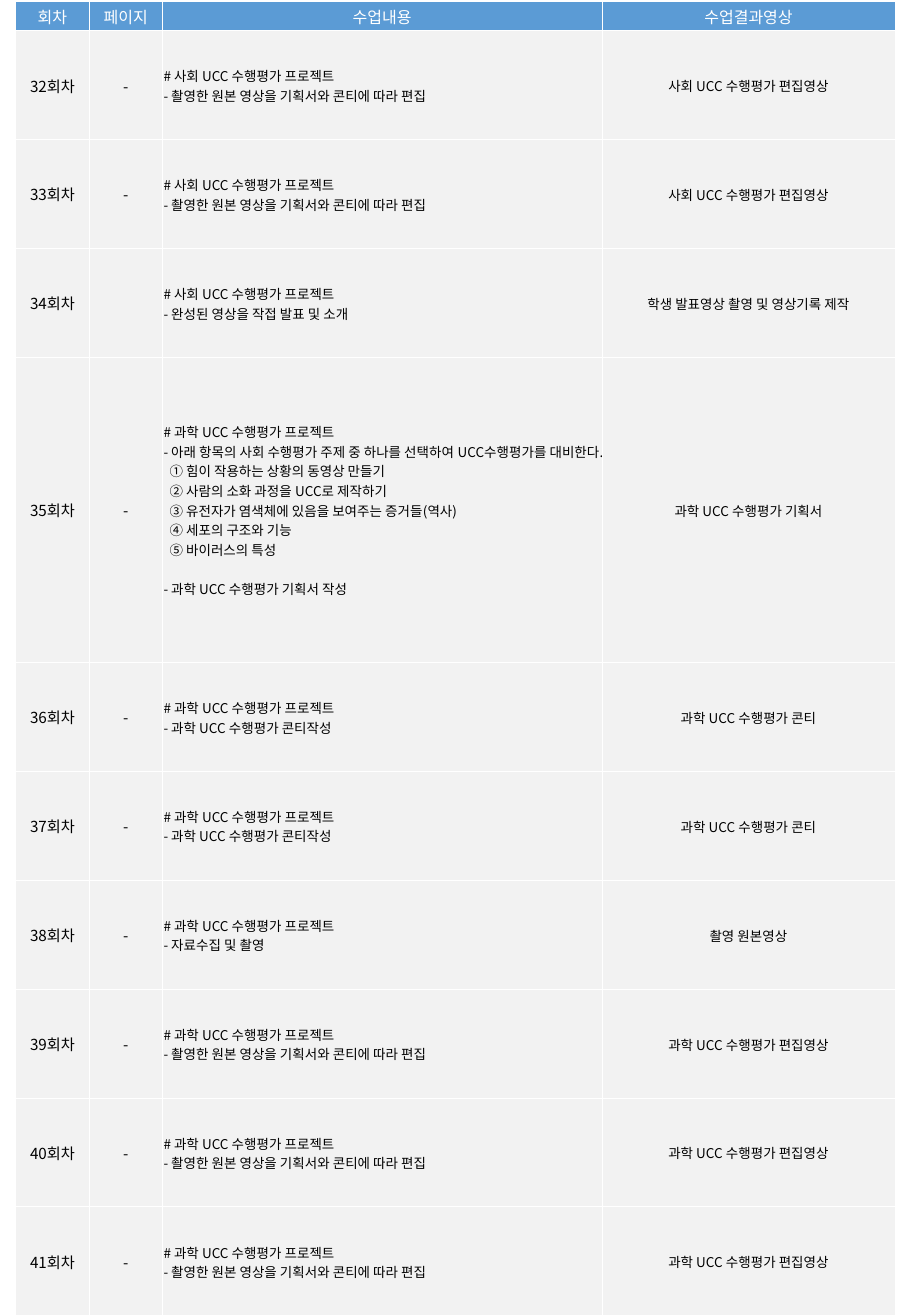
from lxml.etree import SubElement
from pptx import Presentation
from pptx.dml.color import RGBColor
from pptx.enum.text import MSO_ANCHOR, PP_ALIGN
from pptx.oxml.ns import qn
from pptx.util import Inches, Pt

FONT = "Noto Sans CJK KR"
BLUE, GREY, WHITE, BLACK = "5B9BD5", "F2F2F2", "FFFFFF", "000000"
COLS = (1, 1, 6, 4)  # shares of a twelve-column grid

HEAD = ("회차", "페이지", "수업내용", "수업결과영상")
EDIT = "- 촬영한 원본 영상을 기획서와 콘티에 따라 편집"
PLAN = (
    "- 아래 항목의 사회 수행평가 주제 중 하나를 선택하여 UCC수행평가를 대비한다.",
    "① 힘이 작용하는 상황의 동영상 만들기",
    "② 사람의 소화 과정을 UCC로 제작하기",
    "③ 유전자가 염색체에 있음을 보여주는 증거들(역사)",
    "④ 세포의 구조와 기능",
    "⑤ 바이러스의 특성",
    "- 과학 UCC 수행평가 기획서 작성",
)
# Subject, page, tasks, result
CLASSES = (
    ("사회", "-", (EDIT,), "사회 UCC 수행평가 편집영상"),
    ("사회", "-", (EDIT,), "사회 UCC 수행평가 편집영상"),
    ("사회", "", ("- 완성된 영상을 작접 발표 및 소개",), "학생 발표영상 촬영 및 영상기록 제작"),
    ("과학", "-", PLAN, "과학 UCC 수행평가 기획서"),
    *[("과학", "-", ("- 과학 UCC 수행평가 콘티작성",), "과학 UCC 수행평가 콘티")] * 2,
    ("과학", "-", ("- 자료수집 및 촬영",), "촬영 원본영상"),
    *[("과학", "-", (EDIT,), "과학 UCC 수행평가 편집영상")] * 3,
)
FIRST = 32


def color(code):
    return RGBColor.from_string(code)


def write(cell, lines, size=9, ink=BLACK, align=PP_ALIGN.CENTER):
    frame = cell.text_frame
    listed = False
    for i, line in enumerate(lines):
        para = frame.paragraphs[0] if i == 0 else frame.add_paragraph()
        para.alignment = align
        item = line[:1] in tuple("①②③④⑤")
        if item:
            para._p.get_or_add_pPr().set("marL", str(Inches(0.05)))
        elif listed:
            para.space_before = Pt(11.6)  # one line after the list
        listed = item
        if line:
            run = para.add_run()
            run.text = line
            run.font.size = Pt(size)
            run.font.name = FONT
            run.font.color.rgb = color(ink)
            SubElement(run._r.get_or_add_rPr(), qn("a:ea"), typeface=FONT)


def style(cell, fill):
    cell.vertical_anchor = MSO_ANCHOR.MIDDLE
    cell.margin_left = cell.margin_right = cell.margin_top = Inches(0.01)
    cell.margin_bottom = 0
    props = cell._tc.get_or_add_tcPr()
    for side in ("lnL", "lnR", "lnT", "lnB"):
        line = SubElement(props, qn("a:" + side), w=str(Pt(0.5)))
        paint = SubElement(line, qn("a:solidFill"))
        SubElement(paint, qn("a:srgbClr"), val=WHITE)
    cell.fill.solid()
    cell.fill.fore_color.rgb = color(fill)


def grid(slide, box, rows, fill):
    """Place a table in the box, its rows sized by weight."""
    table = slide.shapes.add_table(len(rows), len(COLS), *box).table
    table.first_row = table.horz_banding = False
    for col, part in zip(table.columns, COLS):
        col.width = int(box[2] * part / sum(COLS))
    for row, part in zip(table.rows, rows):
        row.height = int(box[3] * part / sum(rows))
        for cell in row.cells:
            style(cell, fill)
    return table


def header(slide, box):
    table = grid(slide, box, [1], BLUE)
    for cell, name in zip(table.rows[0].cells, HEAD):
        write(cell, [name], size=9.5, ink=WHITE)


def plan(slide, box):
    sizes = [2.8 if tasks is PLAN else 1 for _, _, tasks, _ in CLASSES]
    table = grid(slide, box, sizes, GREY)
    for i, (topic, page, tasks, result) in enumerate(CLASSES):
        cells = table.rows[i].cells
        write(cells[0], [f"{FIRST + i}회차"])
        write(cells[1], [page])
        write(cells[2], [f"# {topic} UCC 수행평가 프로젝트", *tasks],
              size=8, align=PP_ALIGN.LEFT)
        write(cells[3], [result], size=8)


deck = Presentation()
deck.slide_width, deck.slide_height = Inches(7.5), Inches(10.83)
page = deck.slides.add_slide(deck.slide_layouts[6])

# Column names, then the class plan down to the slide's edge
left, top, wide, high = (Inches(n) for n in (0.13, 0.01, 7.24, 0.24))
header(page, (left, top, wide, high))
plan(page, (left, top + high, wide, deck.slide_height - top - high))

deck.save("out.pptx")
